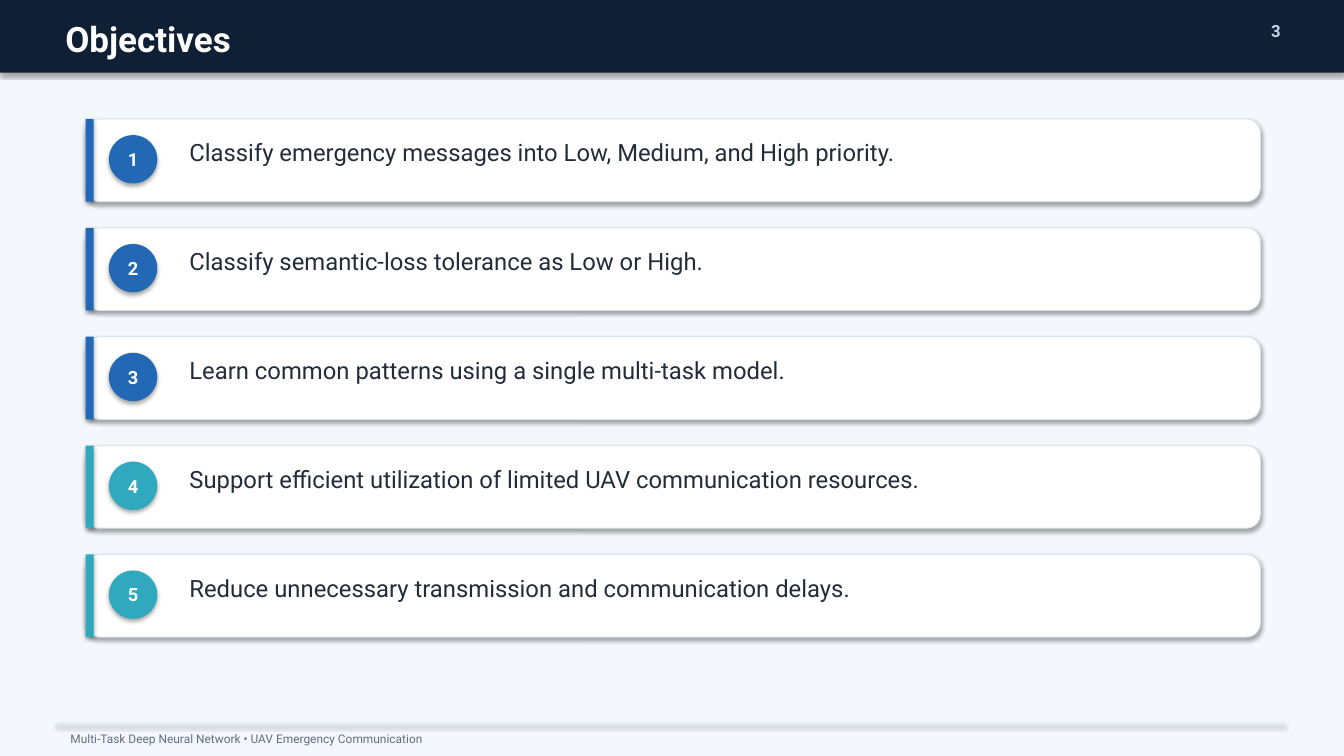
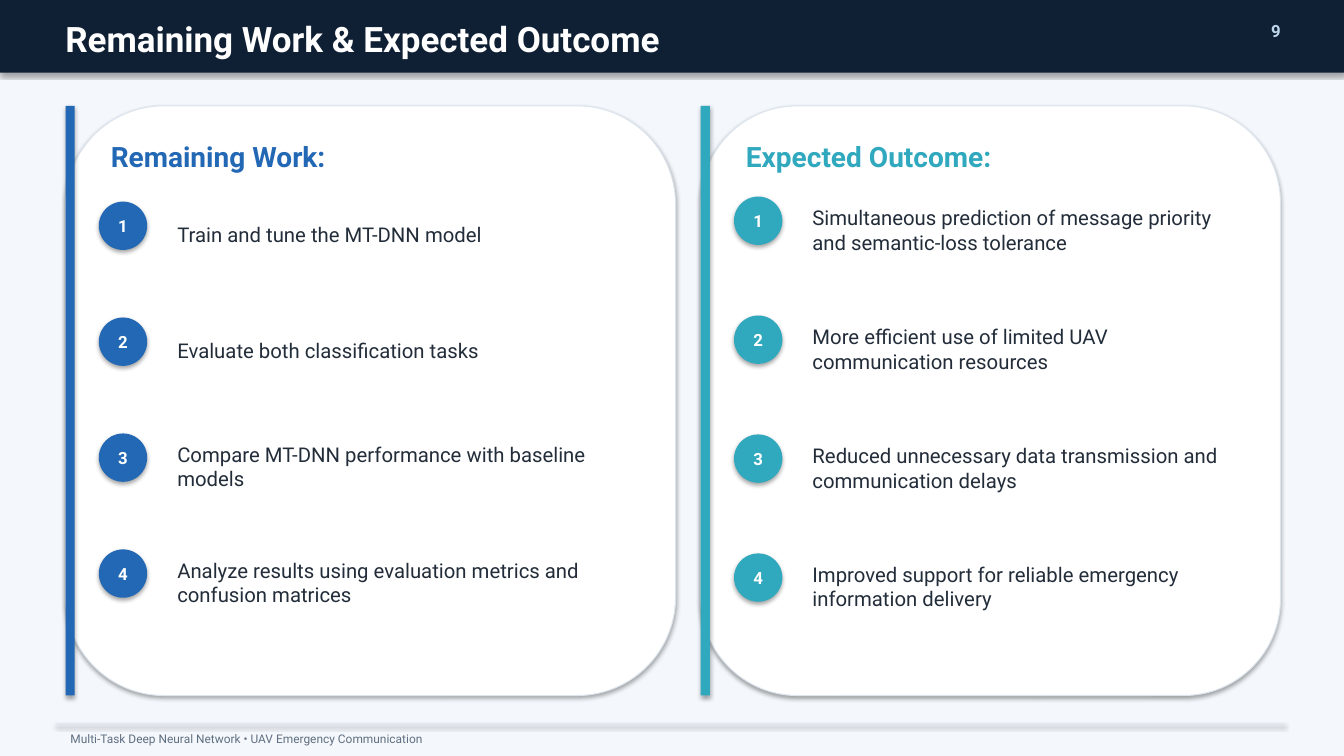
from dataclasses import dataclass

from pptx import Presentation
from pptx.dml.color import RGBColor
from pptx.enum.shapes import MSO_SHAPE as Shape
from pptx.enum.text import MSO_ANCHOR as Anchor, PP_ALIGN as Align
from pptx.util import Inches, Pt


@dataclass(frozen=True)
class Theme:
    font: str = "Roboto"
    page: str = "F4F8FC"
    navy: str = "0F1F34"
    white: str = "FFFFFF"
    page_number: str = "BED7EB"
    border: str = "DCE4ED"
    muted: str = "5F6E80"
    ink: str = "232D3A"
    blue: str = "2268B4"
    teal: str = "30A8BE"
    title_size: float = 25
    heading_size: float = 20
    objective_size: float = 17
    item_size: float = 14.5
    objective_badge_size: float = 13
    small_size: float = 12
    footer_size: float = 8.5


theme = Theme()


def write(frame, text, size, color, bold=False, align=Align.LEFT):
    paragraph = frame.paragraphs[0]
    paragraph.alignment = align
    run = paragraph.add_run()
    run.text = text
    run.font.name = theme.font
    run.font.size = Pt(size)
    run.font.bold = bold
    run.font.color.rgb = RGBColor.from_string(color)


def add_block(slide, kind, box, fill, border=None):
    # Blocks keep the soft shadow of the presentation theme
    block = slide.shapes.add_shape(kind, *map(Inches, box))
    block.fill.solid()
    block.fill.fore_color.rgb = RGBColor.from_string(fill)
    if border:
        block.line.color.rgb = RGBColor.from_string(border)
        block.line.width = Pt(0.75)
    else:
        block.line.fill.background()
    return block


prs = Presentation()
prs.slide_width, prs.slide_height = Inches(13.33), Inches(7.5)

# Shared page: background, title band, page number, footer
pages = []
for title, number in [("Objectives", "3"), ("Remaining Work & Expected Outcome", "9")]:
    page = prs.slides.add_slide(prs.slide_layouts[6])
    page.background.fill.solid()
    page.background.fill.fore_color.rgb = RGBColor.from_string(theme.page)
    add_block(page, Shape.RECTANGLE, (0, 0, 13.33, 0.72), theme.navy)
    add_block(page, Shape.RECTANGLE, (0.55, 7.18, 12.2, 0.01), theme.border)
    for box, text, size, color, bold, align in [
        ((0.55, 0.12, 11.5, 0.4), title, theme.title_size, theme.white, True, Align.LEFT),
        ((12.35, 0.16, 0.45, 0.3), number, theme.small_size, theme.page_number, True, Align.RIGHT),
        ((0.6, 7.21, 12, 0.2), "Multi-Task Deep Neural Network • UAV Emergency Communication",
         theme.footer_size, theme.muted, False, Align.LEFT),
    ]:
        label = page.shapes.add_textbox(*map(Inches, box))
        write(label.text_frame, text, size, color, bold, align)
    pages.append(page)
objectives_page, outlook_page = pages

# Objectives: one card per goal
objectives = [
    ("Classify emergency messages into Low, Medium, and High priority.", theme.blue),
    ("Classify semantic-loss tolerance as Low or High.", theme.blue),
    ("Learn common patterns using a single multi-task model.", theme.blue),
    ("Support efficient utilization of limited UAV communication resources.", theme.teal),
    ("Reduce unnecessary transmission and communication delays.", theme.teal),
]
for i, (objective, accent) in enumerate(objectives):
    top = 1.18 + 1.08 * i
    add_block(objectives_page, Shape.ROUNDED_RECTANGLE, (0.85, top, 11.65, 0.82),
              theme.white, theme.border)
    add_block(objectives_page, Shape.RECTANGLE, (0.85, top, 0.08, 0.82), accent)
    badge = add_block(objectives_page, Shape.OVAL, (1.08, top + 0.16, 0.48, 0.48), accent)
    write(badge.text_frame, str(i + 1), theme.objective_badge_size, theme.white, True, Align.CENTER)
    goal = objectives_page.shapes.add_textbox(*map(Inches, (1.78, top + 0.14, 10.25, 0.55)))
    write(goal.text_frame, objective, theme.objective_size, theme.ink)

# Remaining work and expected outcome: one panel each
# heading, accent, left, panel width, item width, first badge top, item pitch, items
panels = [
    ("Remaining Work:", theme.blue, 0.65, 6.05, 4.65, 2, 1.15, [
        "Train and tune the MT-DNN model",
        "Evaluate both classification tasks",
        "Compare MT-DNN performance with baseline models",
        "Analyze results using evaluation metrics and confusion matrices",
    ]),
    ("Expected Outcome:", theme.teal, 6.95, 5.75, 4.3, 1.95, 1.18, [
        "Simultaneous prediction of message priority and semantic-loss tolerance",
        "More efficient use of limited UAV communication resources",
        "Reduced unnecessary data transmission and communication delays",
        "Improved support for reliable emergency information delivery",
    ]),
]
for heading, accent, left, width, item_width, first_top, pitch, items in panels:
    add_block(outlook_page, Shape.ROUNDED_RECTANGLE, (left, 1.05, width, 5.85),
              theme.white, theme.border)
    add_block(outlook_page, Shape.RECTANGLE, (left, 1.05, 0.09, 5.85), accent)
    panel_title = outlook_page.shapes.add_textbox(
        *map(Inches, (left + 0.35, 1.33, width - 0.7, 0.45)))
    write(panel_title.text_frame, heading, theme.heading_size, accent, True)
    for i, item in enumerate(items):
        top = first_top + pitch * i
        badge = add_block(outlook_page, Shape.OVAL, (left + 0.33, top, 0.48, 0.48), accent)
        write(badge.text_frame, str(i + 1), theme.small_size, theme.white, True, Align.CENTER)
        entry = outlook_page.shapes.add_textbox(
            *map(Inches, (left + 1.01, top - 0.02, item_width, 0.7)))
        entry.text_frame.word_wrap = True
        entry.text_frame.vertical_anchor = Anchor.MIDDLE
        write(entry.text_frame, item, theme.item_size, theme.ink)

prs.save("out.pptx")
